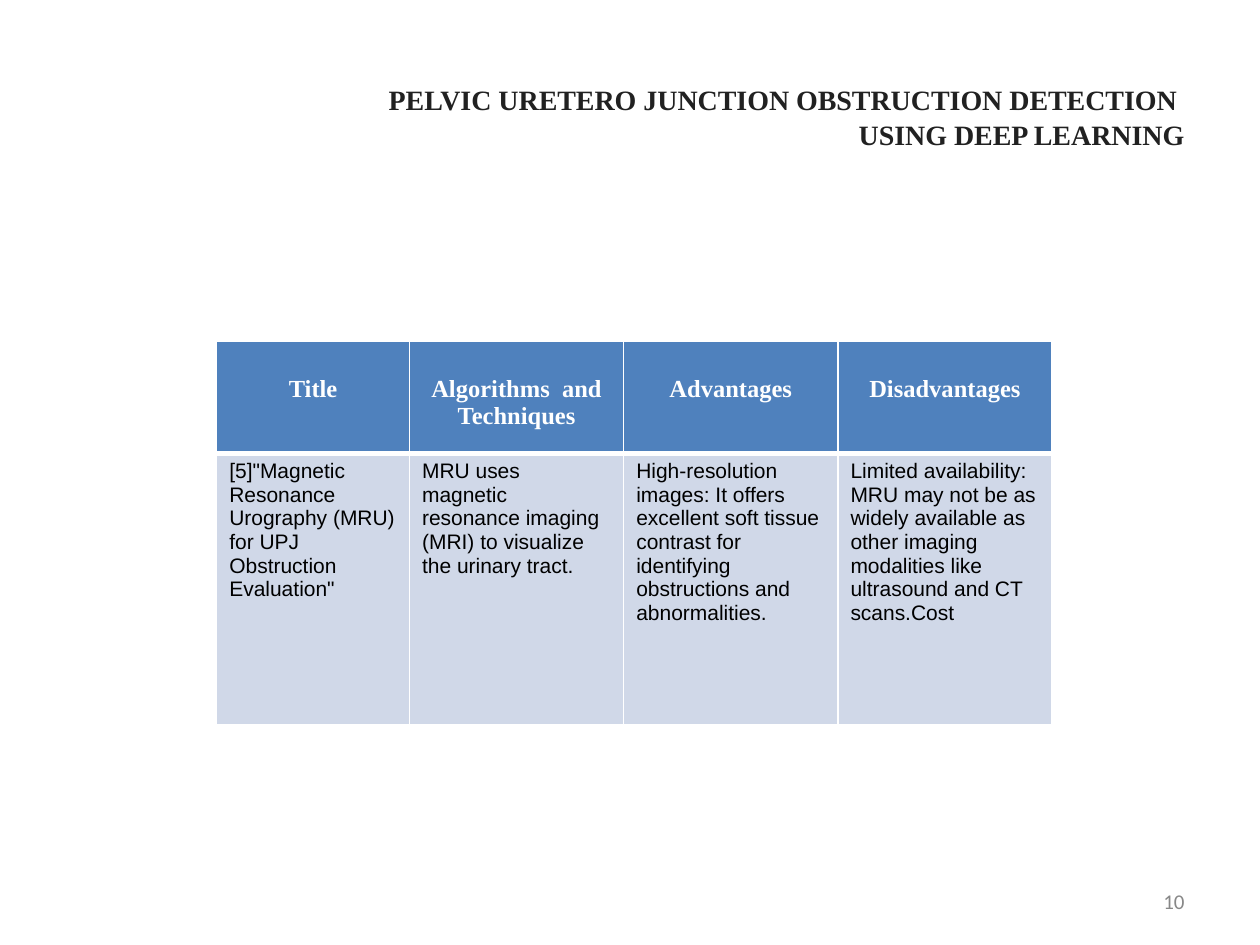
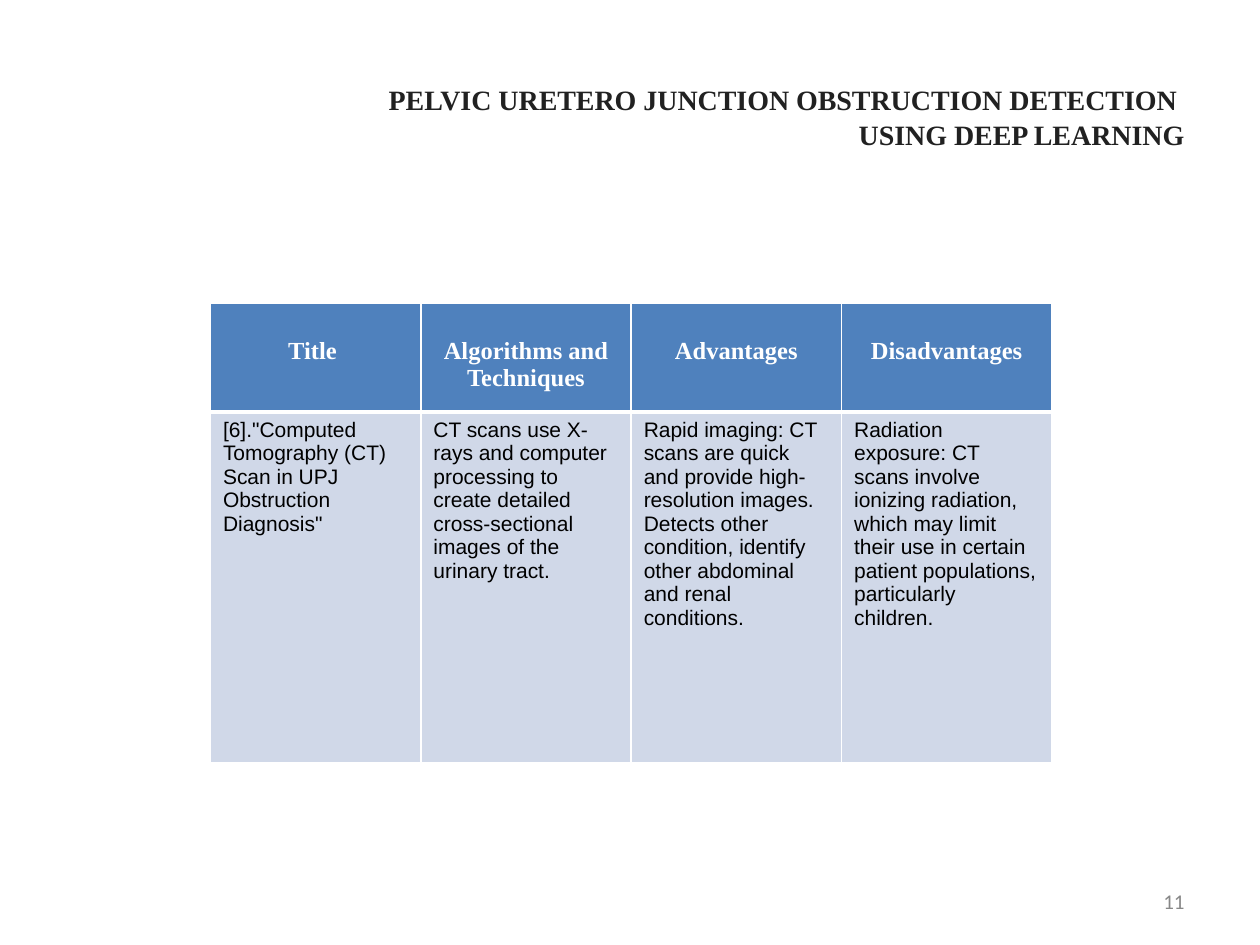
from dataclasses import dataclass

from lxml import etree
from pptx import Presentation
from pptx.dml.color import RGBColor
from pptx.enum.text import MSO_ANCHOR, PP_ALIGN
from pptx.oxml.ns import qn
from pptx.util import Inches, Pt

LEFT, CENTER, RIGHT = PP_ALIGN.LEFT, PP_ALIGN.CENTER, PP_ALIGN.RIGHT
MIDDLE = MSO_ANCHOR.MIDDLE
BLANK_LAYOUT = 6


@dataclass(frozen=True)
class TextStyle:
    font: str
    size: int
    color: str
    bold: bool = False
    align: PP_ALIGN = LEFT


@dataclass(frozen=True)
class Theme:
    title = TextStyle("Times New Roman", 16, "212121", True, RIGHT)
    header = TextStyle("Times New Roman", 14, "FFFFFF", True, CENTER)
    body = TextStyle("Arial", 12, "000000")
    number = TextStyle("Calibri", 12, "888888", align=RIGHT)
    header_fill = "4F81BD"
    body_fill = "D0D8E8"
    border = "FFFFFF"
    thin, thick = 1, 3


class SurveyDeck:
    """Literature survey pages: title, comparison table, page number."""

    def __init__(self, theme):
        self.theme = theme
        self.deck = Presentation()
        self.deck.slide_width, self.deck.slide_height = Inches(10), Inches(7.5)
        self.page = None

    def add_page(self, title_lines, number):
        self.page = self.deck.slides.add_slide(self.deck.slide_layouts[BLANK_LAYOUT])
        title = self.add_text((0.5, 0.3, 9, 1.25), title_lines, self.theme.title)
        title.line_spacing = Pt(19.5)
        self.add_text((7.17, 6.95, 2.33, 0.4), [str(number)], self.theme.number)

    def style_paragraph(self, para, style):
        para.alignment = style.align
        para.font.name = style.font
        para.font.size = Pt(style.size)
        para.font.bold = style.bold
        para.font.color.rgb = RGBColor.from_string(style.color)

    def add_text(self, area, lines, style):
        box = self.page.shapes.add_textbox(*map(Inches, area))
        frame = box.text_frame
        frame.word_wrap = True
        frame.vertical_anchor = MIDDLE
        para = frame.paragraphs[0]
        for index, line in enumerate(lines):
            if index:
                para.add_line_break()
            para.add_run().text = line
        self.style_paragraph(para, style)
        return para

    def set_borders(self, cell, top, bottom):
        properties = cell._tc.get_or_add_tcPr()
        thin = self.theme.thin
        edges = (("a:lnL", thin), ("a:lnR", thin), ("a:lnT", top), ("a:lnB", bottom))
        for index, (tag, width) in enumerate(edges):
            line = etree.Element(qn(tag), w=str(Pt(width)))
            fill = etree.SubElement(line, qn("a:solidFill"))
            etree.SubElement(fill, qn("a:srgbClr"), val=self.theme.border)
            properties.insert(index, line)

    def fill_cell(self, cell, text, style, fill):
        cell.text = text
        for para in cell.text_frame.paragraphs:
            self.style_paragraph(para, style)
        cell.fill.solid()
        cell.fill.fore_color.rgb = RGBColor.from_string(fill)

    def add_table(self, left, top, widths, heights, headers, entries):
        theme = self.theme
        frame = self.page.shapes.add_table(
            len(heights), len(widths), Inches(left), Inches(top),
            Inches(sum(widths)), Inches(sum(heights)))
        table = frame.table
        table.horz_banding = False
        for row, height in zip(table.rows, heights):
            row.height = Inches(height)
        for index, width in enumerate(widths):
            table.columns[index].width = Inches(width)
            # Header text starts one line below the cell's top
            header = table.cell(0, index)
            self.fill_cell(header, headers[index], theme.header, theme.header_fill)
            header.margin_top = Inches(0.27)
            self.set_borders(header, theme.thin, theme.thick)
            entry = table.cell(1, index)
            self.fill_cell(entry, entries[index], theme.body, theme.body_fill)
            self.set_borders(entry, theme.thick, theme.thin)


TITLE = ["PELVIC URETERO JUNCTION OBSTRUCTION DETECTION ", "USING DEEP LEARNING"]


def main():
    survey = SurveyDeck(Theme())

    # Magnetic resonance urography
    survey.add_page(TITLE, 10)
    survey.add_table(
        1.72, 2.71, [1.53] + [1.7] * 3, [0.89, 2.15],
        ["Title", "Algorithms  and Techniques", "Advantages", "Disadvantages"],
        ['[5]"Magnetic Resonance Urography (MRU) for UPJ Obstruction Evaluation"',
         "MRU uses magnetic resonance imaging (MRI) to visualize the urinary tract.",
         "High-resolution images: It offers excellent soft tissue contrast for "
         "identifying obstructions and abnormalities.",
         "Limited availability: MRU may not be as widely available as other imaging "
         "modalities like ultrasound and CT scans.Cost"])

    # Computed tomography
    survey.add_page(TITLE, 11)
    survey.add_table(
        1.67, 2.41, [1.67] * 4, [0.86, 2.78],
        ["Title ", "Algorithms and Techniques", "Advantages", "Disadvantages"],
        ['[6]."Computed Tomography (CT) Scan in UPJ Obstruction Diagnosis"',
         "CT scans use X-rays and computer processing to create detailed "
         "cross-sectional images of the urinary tract.",
         "Rapid imaging: CT scans are quick and provide high-resolution images.\n"
         "Detects other condition, identify other abdominal and renal conditions.",
         "Radiation exposure: CT scans involve ionizing radiation, which may limit "
         "their use in certain patient populations, particularly children."])

    survey.deck.save("out.pptx")


if __name__ == "__main__":
    main()
